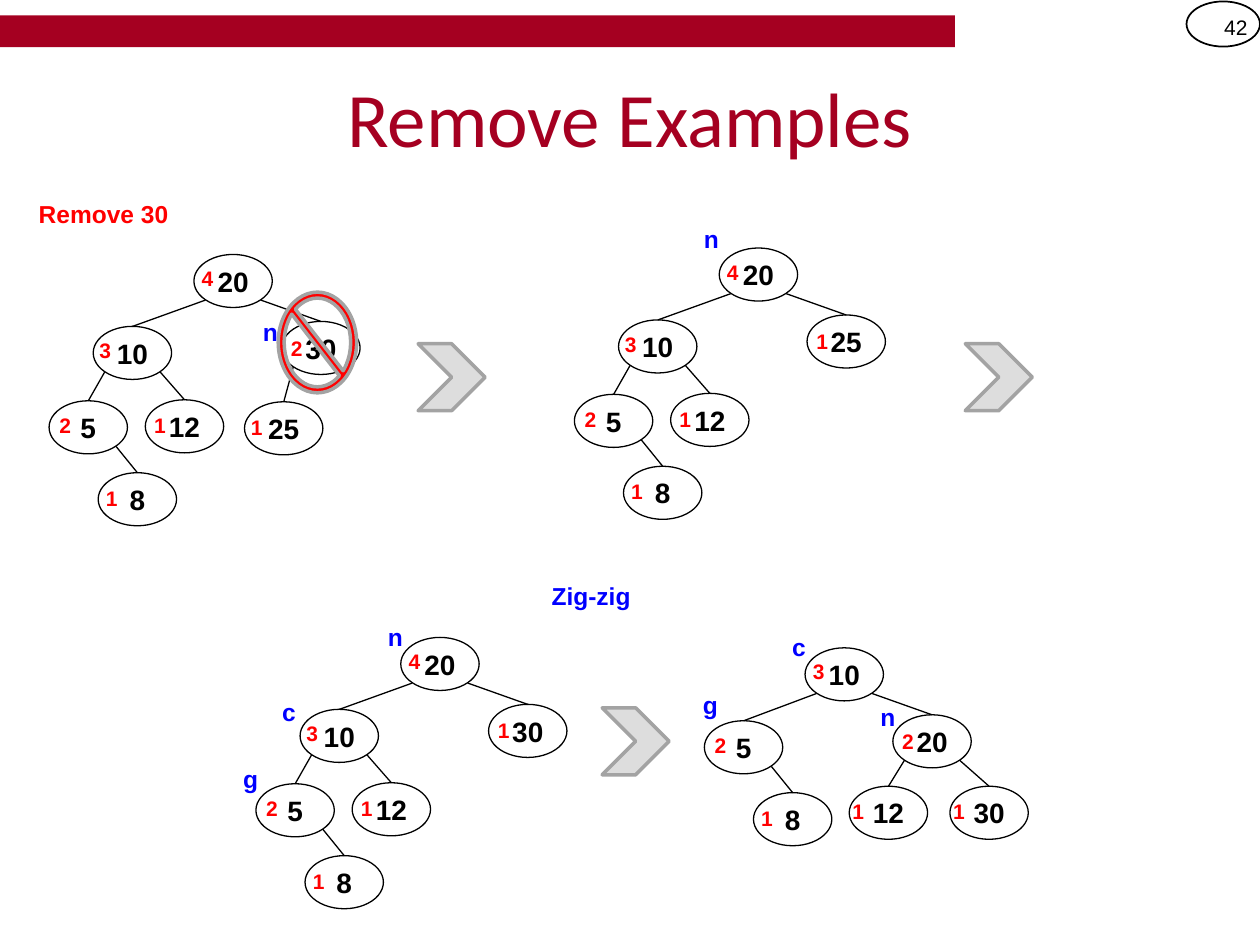
from dataclasses import dataclass
from typing import Optional

from lxml.etree import SubElement
from pptx import Presentation
from pptx.dml.color import RGBColor
from pptx.enum.shapes import MSO_CONNECTOR, MSO_SHAPE
from pptx.enum.text import MSO_ANCHOR, MSO_AUTO_SIZE, PP_ALIGN
from pptx.oxml.ns import qn
from pptx.util import Cm, Pt

CRIMSON, RED, BLUE = "A50021", "FF0000", "0000FF"
BLACK, WHITE, SILVER, GRAY = "000000", "FFFFFF", "DDDDDD", "A3A3A3"
NODE_W, NODE_H = 1.58, 1.07
EDGE_X, EDGE_Y = 0.23, 0.92  # where edges leave a node, from its sides and top


@dataclass(frozen=True)
class Slot:
    """Place of a node from its root, and of its height label from the node."""
    dx: float
    dy: float
    label_dx: float
    label_dy: float
    label_w: float
    parent: Optional[str] = None


@dataclass(frozen=True)
class Mark:
    letter: str
    x: float
    y: float


@dataclass(frozen=True)
class Tree:
    x: float
    y: float
    nodes: dict[str, tuple[int, int]]  # slot: (value, height)
    marks: list[Mark]


SLOTS = {
    "root": Slot(0, 0, -0.33, 0.1, 0.97),
    "R": Slot(1.77, 1.35, -0.22, 0.15, 0.89, "root"),
    "L": Slot(-2.03, 1.45, -0.33, 0.1, 0.94, "root"),
    "LR": Slot(-0.98, 2.93, -0.25, 0.14, 0.91, "L"),
    "RL": Slot(1.02, 2.97, -0.15, 0.13, 0.76, "R"),
    "LL": Slot(-2.92, 2.95, -0.48, 0.12, 1.17, "L"),
    "LLR": Slot(-1.93, 4.4, -0.3, 0.13, 0.94, "LL"),
    # Slots after the rotation
    "new L": Slot(-2.03, 1.47, -0.48, 0.12, 1.17, "root"),
    "new LR": Slot(-1.04, 2.92, -0.3, 0.13, 0.94, "new L"),
    "new RL": Slot(0.89, 2.79, -0.36, 0.12, 0.91, "R"),
    "new RR": Slot(2.92, 2.79, -0.36, 0.12, 0.91, "R"),
}
LEFT_PART = {"root": (20, 4), "L": (10, 3), "LR": (12, 1), "LL": (5, 2), "LLR": (8, 1)}
TREES = [
    Tree(3.91, 5.13, {**LEFT_PART, "R": (30, 2), "RL": (25, 1)},
         [Mark("n", 5.05, 6.27)]),
    Tree(14.5, 5, {**LEFT_PART, "R": (25, 1)}, [Mark("n", 13.94, 4.39)]),
    Tree(8.08, 12.85, {**LEFT_PART, "R": (30, 1)},
         [Mark("n", 7.57, 12.42), Mark("c", 5.44, 13.92), Mark("g", 4.65, 15.27)]),
    Tree(16.23, 13.06,
         {"root": (10, 3), "R": (20, 2), "new L": (5, 2), "new LR": (8, 1),
          "new RL": (12, 1), "new RR": (30, 1)},
         [Mark("c", 15.72, 12.62), Mark("n", 17.5, 14.02), Mark("g", 13.92, 13.79)]),
]
CHEVRONS = [(8.43, 6.93), (19.46, 6.93), (12.14, 14.27)]


def rgb(color: str) -> RGBColor:
    return RGBColor.from_string(color)


def add_run(tf, text: str, size: int, color: str, align=PP_ALIGN.LEFT,
            bold: bool = True, font: str = "Arial") -> None:
    p = tf.paragraphs[0]
    p.alignment = align
    r = p.add_run()
    r.text = text
    r.font.name, r.font.size, r.font.bold = font, Pt(size), bold
    r.font.color.rgb = rgb(color)


def add_text(s, x: float, y: float, w: float, h: float, text: str, size: int,
             color: str, align=PP_ALIGN.LEFT, middle: bool = False, **style) -> None:
    tf = s.shapes.add_textbox(Cm(x), Cm(y), Cm(w), Cm(h)).text_frame
    tf.word_wrap = True
    if middle:
        tf.vertical_anchor = MSO_ANCHOR.MIDDLE
    else:
        tf.auto_size = MSO_AUTO_SIZE.SHAPE_TO_FIT_TEXT
    add_run(tf, text, size, color, align, **style)


def add_box(s, kind, x: float, y: float, w: float, h: float,
            fill: Optional[str] = None, line: Optional[str] = None, width: float = 1):
    sp = s.shapes.add_shape(kind, Cm(x), Cm(y), Cm(w), Cm(h))
    sp.shadow.inherit = False
    if fill:
        sp.fill.solid()
        sp.fill.fore_color.rgb = rgb(fill)
    else:
        sp.fill.background()
    if line:
        sp.line.color.rgb = rgb(line)
        sp.line.width = Pt(width)
    else:
        sp.line.fill.background()
    return sp


def add_node(s, x: float, y: float, value: int, fill: Optional[str]):
    sp = add_box(s, MSO_SHAPE.OVAL, x, y, NODE_W, NODE_H, fill, BLACK, 0.75)
    tf = sp.text_frame
    tf.margin_left = tf.margin_right = 0
    tf.word_wrap = False
    tf.vertical_anchor = MSO_ANCHOR.MIDDLE
    add_run(tf, str(value), 16, BLACK, PP_ALIGN.CENTER)
    return sp


def add_edge(s, parent, child) -> None:
    inset = Cm(EDGE_X)
    x = parent.left + (inset if child.left < parent.left else parent.width - inset)
    edge = s.shapes.add_connector(MSO_CONNECTOR.STRAIGHT, x, parent.top + Cm(EDGE_Y),
                                  child.left + child.width // 2, child.top)
    edge.end_connect(child, 0)
    edge.line.color.rgb = rgb(BLACK)
    edge.line.width = Pt(0.75)
    SubElement(edge._element.spPr, qn("a:effectLst"))


def add_tree(s, tree: Tree) -> None:
    ovals = {}
    for name, (value, _) in tree.nodes.items():
        slot = SLOTS[name]
        ovals[name] = add_node(s, tree.x + slot.dx, tree.y + slot.dy, value,
                               WHITE if slot.parent else None)
    for name, (_, height) in tree.nodes.items():
        slot = SLOTS[name]
        if slot.parent:
            add_edge(s, ovals[slot.parent], ovals[name])
        add_text(s, tree.x + slot.dx + slot.label_dx, tree.y + slot.dy + slot.label_dy,
                 slot.label_w, 0.76, str(height), 12, RED, PP_ALIGN.RIGHT)


def main() -> None:
    prs = Presentation()
    prs.slide_width, prs.slide_height = Cm(25.4), Cm(19.05)
    s = prs.slides.add_slide(prs.slide_layouts[6])

    # Header: bar, page number and title
    add_box(s, MSO_SHAPE.RECTANGLE, 0, 0.31, 19.25, 0.64, CRIMSON)
    add_box(s, MSO_SHAPE.OVAL, 23.92, 0.03, 1.48, 0.91, None, BLACK)
    add_text(s, 23.92, 0.03, 1.48, 1.02, "42", 12, BLACK, PP_ALIGN.RIGHT,
             middle=True, bold=False)
    add_text(s, 1.27, 0.76, 22.86, 3.18, "Remove Examples", 44, CRIMSON,
             PP_ALIGN.CENTER, middle=True, bold=False, font="Calibri")

    # Captions
    add_text(s, 0.53, 3.89, 3.33, 0.86, "Remove 30", 14, RED)
    add_text(s, 10.87, 11.58, 6.3, 0.86, "Zig-zig", 14, BLUE)

    # Trees, and the sign over the removed node
    for tree in TREES:
        add_tree(s, tree)
    sign = add_box(s, MSO_SHAPE.NO_SYMBOL, 5.61, 5.89, 1.58, 2.03, RED, GRAY, 2)
    sign.adjustments[0] = 0.076

    # Node letters
    for tree in TREES:
        for mark in tree.marks:
            add_text(s, mark.x, mark.y, 0.81, 0.86, mark.letter, 14, BLUE)

    # Step chevrons
    for x, y in CHEVRONS:
        add_box(s, MSO_SHAPE.CHEVRON, x, y, 1.35, 1.35, SILVER, GRAY, 2)

    prs.save("out.pptx")


if __name__ == "__main__":
    main()
